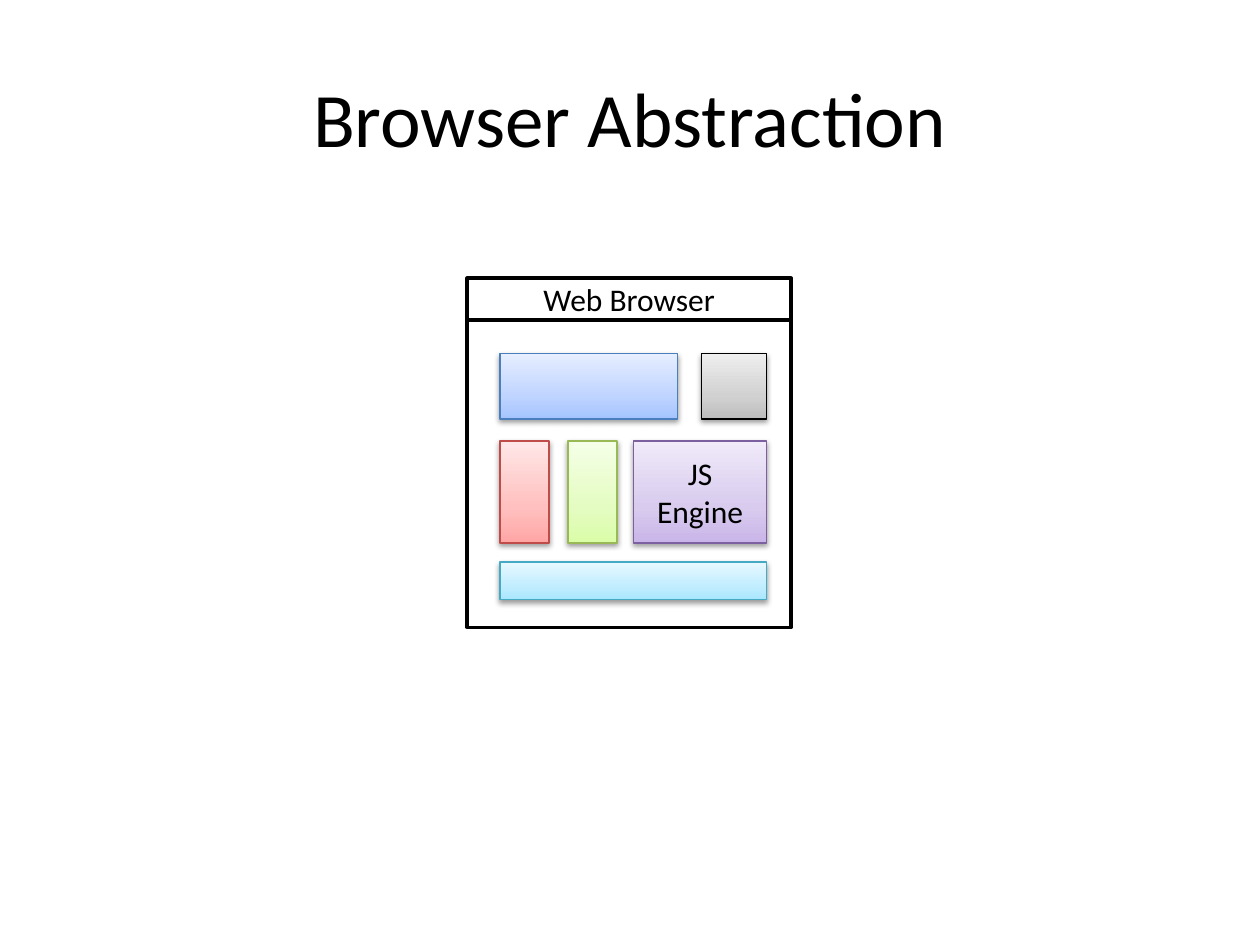
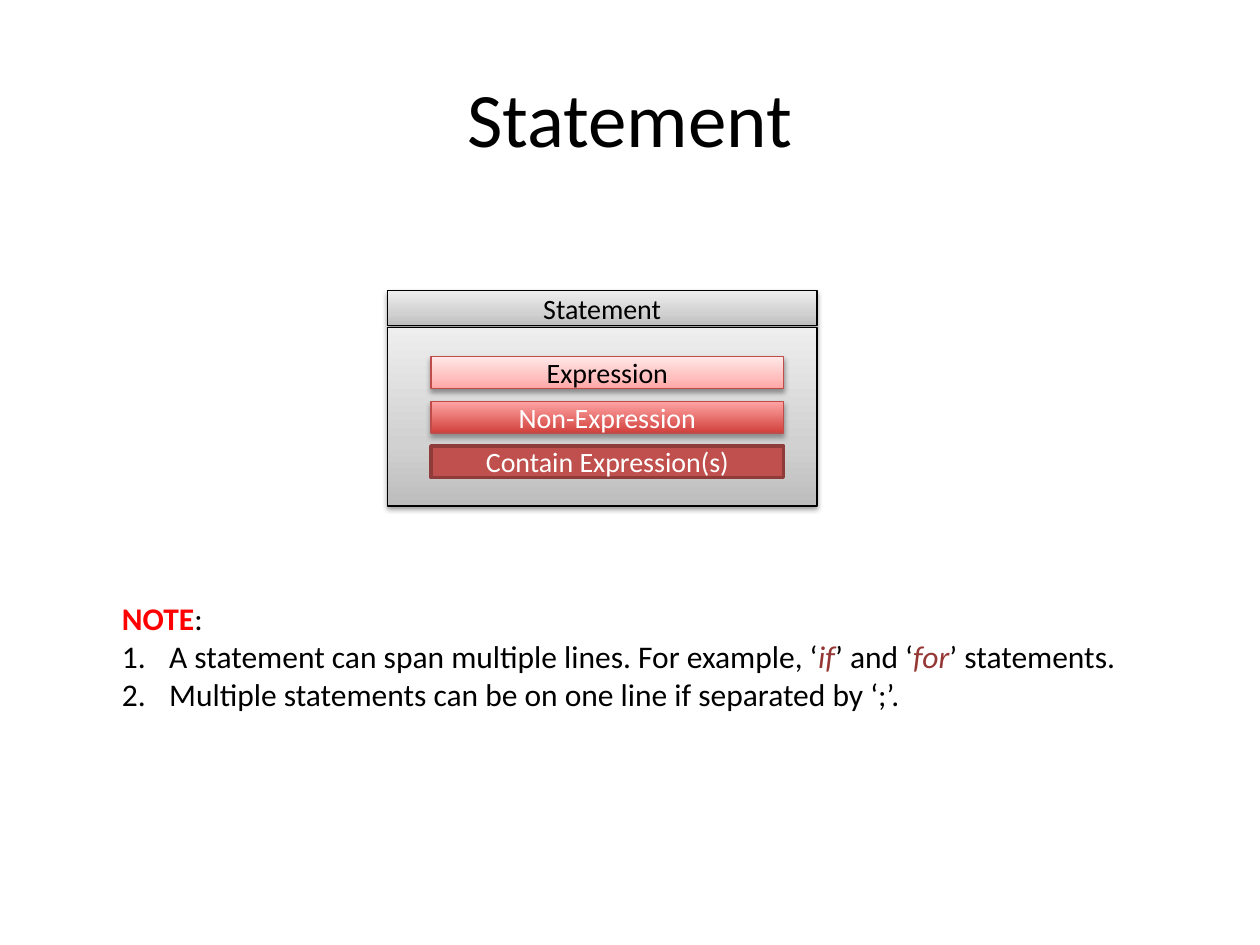
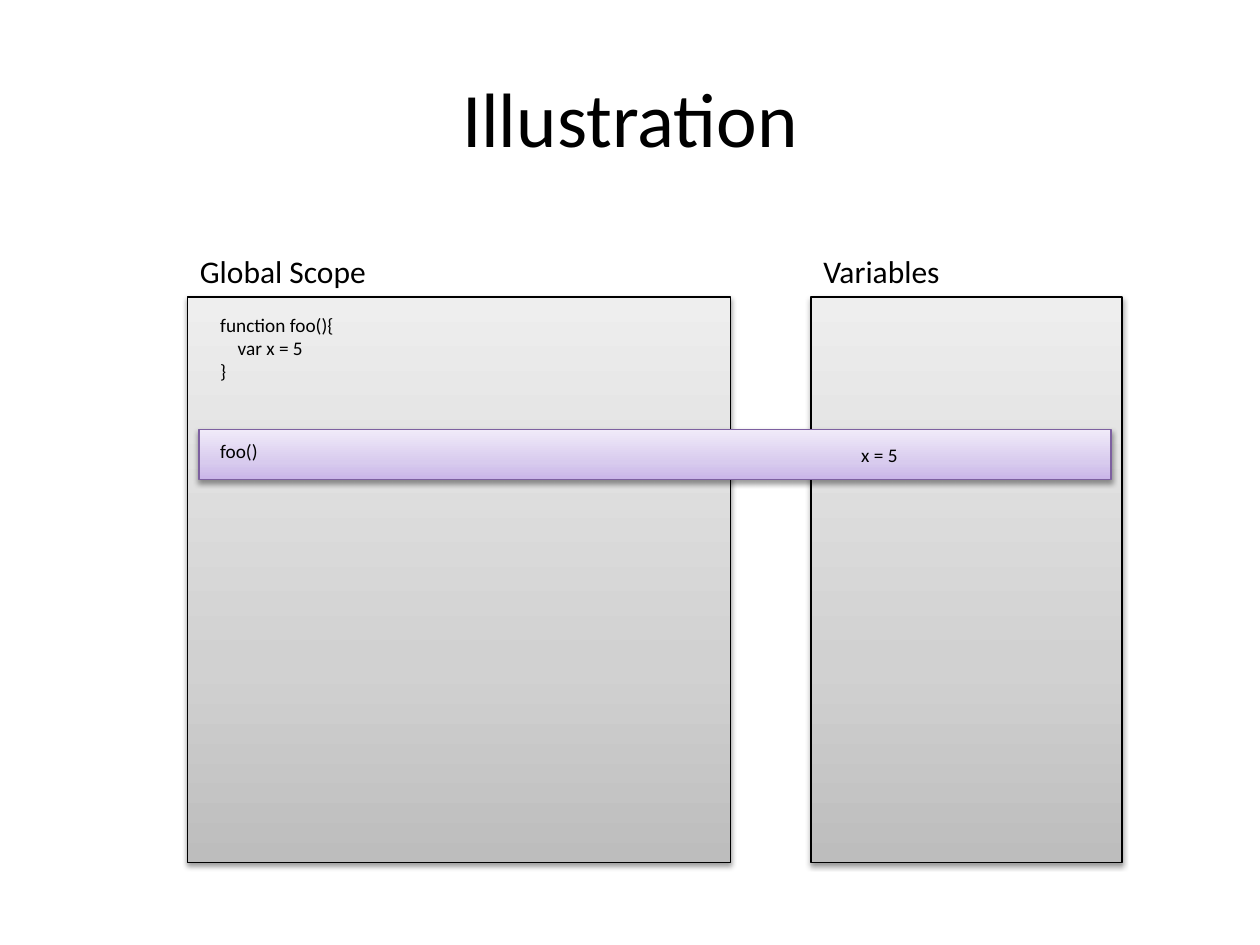
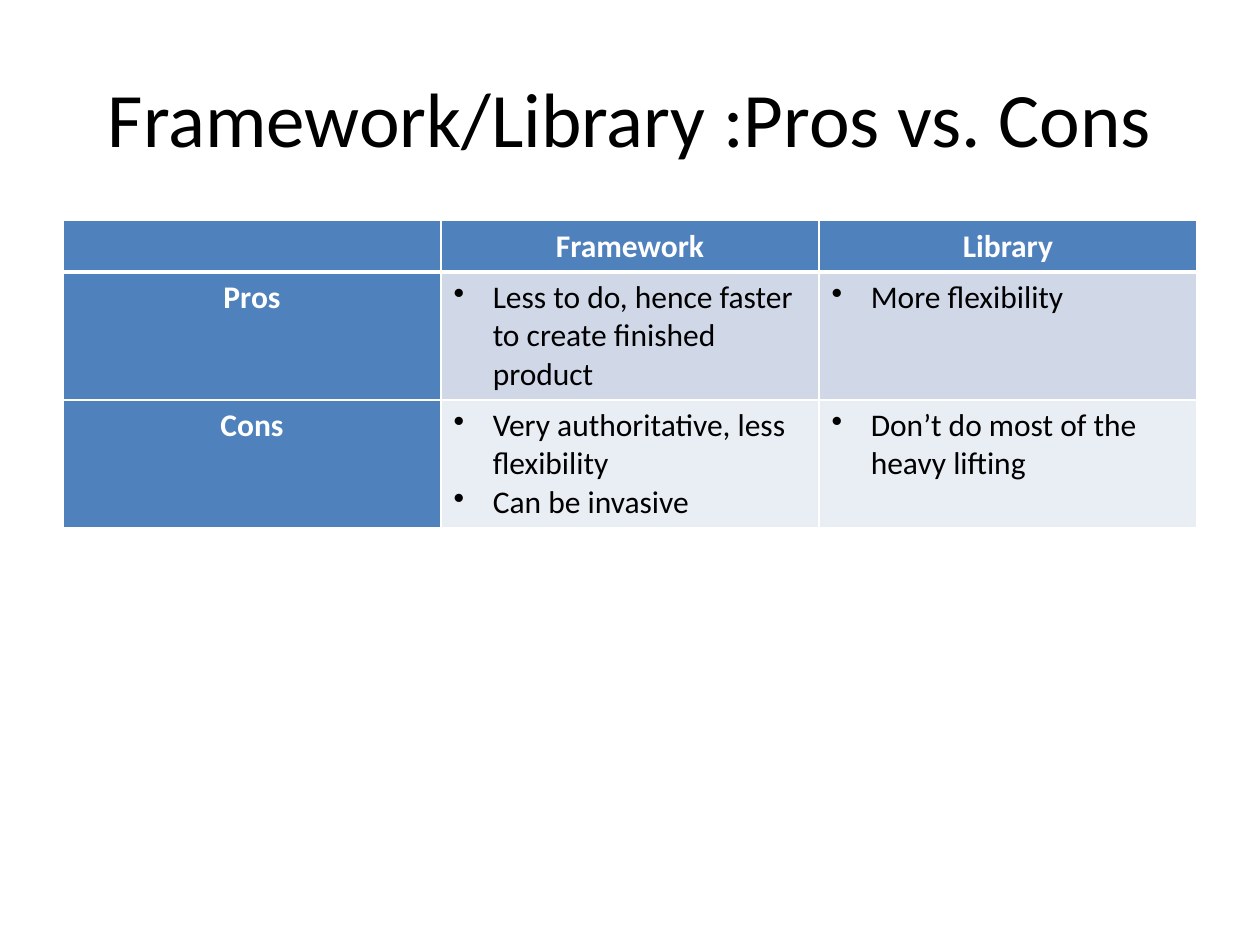
from dataclasses import dataclass
from typing import NamedTuple

from lxml.etree import SubElement
from pptx import Presentation
from pptx.dml.color import RGBColor as RGB
from pptx.enum.shapes import MSO_SHAPE as SHAPE
from pptx.enum.text import MSO_ANCHOR as ANCHOR, MSO_AUTO_SIZE as AUTO, PP_ALIGN as ALIGN
from pptx.oxml.ns import qn
from pptx.util import Cm, Pt


class Skin(NamedTuple):
    """Fill stops from bottom to top, outline and shadow of a rectangle."""
    stops: tuple
    line: str
    line_width: float = 0.75
    shadow: tuple = (38, 1.6)


class Run(NamedTuple):
    """A piece of text with its own look."""
    text: str
    color: str = "000000"
    bold: bool = False
    italic: bool = False


class Box(NamedTuple):
    """A region in centimetres."""
    x: float
    y: float
    w: float
    h: float

    def inner(self, dx, dy, w, h):
        """Return a box placed relative to this one."""
        return Box(self.x + dx, self.y + dy, w, h)

    def lengths(self):
        """Return the four lengths for python-pptx."""
        return [Cm(v) for v in self]


@dataclass(frozen=True)
class Theme:
    """Colours, type sizes and skins shared by the slides."""
    font: str = "Calibri"
    title_size: int = 44
    text_size: int = 18
    label_size: int = 16
    code_size: int = 11
    black: str = "000000"
    white: str = "FFFFFF"
    alert: str = "FF0000"
    keyword: str = "953735"
    header: str = "4F81BD"
    bands: tuple = ("D0D8E8", "E9EDF4")
    title_box: Box = Box(1.27, 0.76, 22.86, 3.18)
    frame: Skin = Skin(("FFFFFF",), "000000", 2, None)
    gray: Skin = Skin(((0, "BDBDBD"), (35, "D1D1D1"), (100, "EEEEEE")), "000000")
    blue: Skin = Skin(((0, "A4C4FF"), (35, "BFD4FF"), (100, "E6EEFF")), "4B7EBC")
    red: Skin = Skin(((0, "FFA6A5"), (35, "FFC0BF"), (100, "FFE7E7")), "BF4C48")
    green: Skin = Skin(((0, "DAFDA7"), (35, "E4FCC2"), (100, "F5FFE7")), "98B955")
    purple: Skin = Skin(((0, "C9B5E8"), (35, "D8CBEE"), (100, "F0EAF9")), "7D60A0")
    cyan: Skin = Skin(((0, "A7E6FF"), (35, "C1EDFF"), (100, "E7F8FF")), "46AAC5")
    strong_red: Skin = Skin(((0, "D1403C"), (100, "FFA6A5")), "BF4C48", 0.75, (35, 1.8))
    solid_red: Skin = Skin(("C0504D",), "8E3B39", 2, None)


T = Theme()


def rgb(color):
    """Turn a hex string into a colour."""
    return RGB.from_string(color)


def emu(points):
    """Return points as the text of an EMU value."""
    return str(int(Pt(points)))


def add_color(parent, color, alpha=None):
    """Add a colour element, with an opacity in percent if given."""
    el = SubElement(parent, qn("a:srgbClr"), val=color)
    if alpha:
        SubElement(el, qn("a:alpha"), val=str(alpha * 1000))


def add_runs(p, runs, size):
    """Add runs to a paragraph."""
    for run in runs:
        r = p.add_run()
        r.text = run.text
        f = r.font
        f.name, f.size, f.bold, f.italic = T.font, Pt(size), run.bold, run.italic
        f.color.rgb = rgb(run.color)


def fill_text(tf, paragraphs, size, align=ALIGN.LEFT):
    """Write paragraphs, each a list of runs, and return them."""
    for i, runs in enumerate(paragraphs):
        p = tf.add_paragraph() if i else tf.paragraphs[0]
        p.alignment = align
        add_runs(p, runs, size)
    return tf.paragraphs


def set_bullet(p, indent, tag, **attrs):
    """Give a paragraph a hanging bullet or number."""
    pPr = p._p.get_or_add_pPr()
    pPr.set("marL", str(Cm(indent)))
    pPr.set("indent", str(-Cm(indent)))
    SubElement(pPr, qn(tag), **attrs)


def paint(sp, skin):
    """Apply fill, outline and shadow to a shape."""
    spPr = sp._element.spPr
    if len(skin.stops) == 1:
        sp.fill.solid()
        sp.fill.fore_color.rgb = rgb(skin.stops[0])
    else:
        sp.fill.gradient()
        sp.fill.gradient_angle = 90
        stops = spPr.find(qn("a:gradFill")).find(qn("a:gsLst"))
        stops[:] = []
        for pos, color in skin.stops:
            add_color(SubElement(stops, qn("a:gs"), pos=str(pos * 1000)), color)
    sp.line.color.rgb = rgb(skin.line)
    sp.line.width = Pt(skin.line_width)
    sp.shadow.inherit = False
    if skin.shadow:
        alpha, distance = skin.shadow
        shadow = SubElement(spPr.find(qn("a:effectLst")), qn("a:outerShdw"), blurRad=emu(3.1),
                            dist=emu(distance), dir="5400000", rotWithShape="0")
        add_color(shadow, T.black, alpha)


def add_rect(shapes, box, skin, lines=(), size=T.text_size, color=T.black):
    """Add a rectangle with centred lines of text."""
    sp = shapes.add_shape(SHAPE.RECTANGLE, *box.lengths())
    paint(sp, skin)
    tf = sp.text_frame
    tf.vertical_anchor = ANCHOR.MIDDLE
    fill_text(tf, [[Run(line, color)] for line in lines], size, ALIGN.CENTER)


def add_text(shapes, box, paragraphs, size=T.text_size):
    """Add an unwrapped text box and return its paragraphs."""
    tf = shapes.add_textbox(*box.lengths()).text_frame
    tf.word_wrap = False
    tf.auto_size = AUTO.SHAPE_TO_FIT_TEXT
    return fill_text(tf, paragraphs, size)


def add_slide(prs, title):
    """Add a titled slide and return its shapes."""
    s = prs.slides.add_slide(prs.slide_layouts[5])
    sp = s.shapes.title
    sp.left, sp.top, sp.width, sp.height = T.title_box.lengths()
    sp.text_frame.vertical_anchor = ANCHOR.MIDDLE
    fill_text(sp.text_frame, [[Run(title)]], T.title_size, ALIGN.CENTER)
    return s.shapes


def draw_browser(shapes, box):
    """Draw the browser window and its component blocks."""
    group = shapes.add_group_shape().shapes
    bar = 0.84
    add_rect(group, box.inner(0, bar, box.w, box.h - bar), T.frame)
    blocks = [
        (0.66, 5.72, 5.38, 0.76, T.cyan, ()),
        (4.72, 1.52, 1.32, 1.32, T.gray, ()),
        (3.35, 3.28, 2.69, 2.06, T.purple, ("JS", "Engine")),
        (2.03, 3.28, 0.99, 2.06, T.green, ()),
        (0.66, 1.52, 3.58, 1.32, T.blue, ()),
        (0.66, 3.28, 0.99, 2.06, T.red, ()),
    ]
    for *place, skin, lines in blocks:
        add_rect(group, box.inner(*place), skin, lines)
    add_rect(group, box.inner(0, 0, box.w, bar), T.frame, ["Web Browser"])


def draw_statement(shapes, box):
    """Draw the statement panel with its three kinds."""
    add_rect(shapes, box.inner(0, 0, box.w, 0.71), T.gray, ["Statement"], T.label_size)
    add_rect(shapes, box.inner(0, 0.74, box.w, box.h - 0.74), T.gray)
    kinds = [
        ("Expression", T.red, T.black),
        ("Non-Expression", T.strong_red, T.white),
        ("Contain Expression(s)", T.solid_red, T.white),
    ]
    for i, (label, skin, color) in enumerate(kinds):
        add_rect(shapes, box.inner(0.88, 1.33 + 0.9 * i, 7.11, 0.64), skin,
                 [label], T.label_size, color)


def draw_note(shapes, box):
    """Write the numbered note."""
    paragraphs = add_text(shapes, box, [
        [Run("NOTE", T.alert, bold=True), Run(":")],
        [Run("A statement can span multiple lines. For example, ‘"),
         Run("if", T.keyword, italic=True), Run("’ and ‘"),
         Run("for", T.keyword, italic=True), Run("’ statements.")],
        [Run("Multiple statements can be on one line if separated by ‘;’.")],
    ])
    for p in paragraphs[1:]:
        set_bullet(p, 0.95, "a:buAutoNum", type="arabicPeriod")


def draw_panel(shapes, box, label, label_width):
    """Draw a gray panel with its label above."""
    add_rect(shapes, box, T.gray)
    add_text(shapes, box.inner(0, -1.03, label_width, 1.03), [[Run(label)]])


def draw_scopes(shapes, box):
    """Draw the code and variable panels with the call across both."""
    draw_panel(shapes, box.inner(0, 0, 10.95, box.h), "Global Scope", 3.89)
    draw_panel(shapes, box.inner(12.57, 0, 6.27, box.h), "Variables", 2.92)
    code = ["function foo(){", "    var x = 5", "}"]
    add_text(shapes, box.inner(0.41, 0.2, 2.82, 1.68),
             [[Run(line)] for line in code], T.code_size)
    add_rect(shapes, box.inner(0.23, 2.67, 18.39, 1.01), T.purple)
    for dx, dy, text in [(0.41, 2.75, "foo()"), (13.33, 2.82, "x = 5")]:
        add_text(shapes, box.inner(dx, dy, 1.3, 0.73), [[Run(text)]], T.code_size)


def style_cell(cell, color, top, bottom):
    """Set the fill and the white borders of a cell."""
    tcPr = cell._tc.get_or_add_tcPr()
    for side, width in zip("LRTB", (1, 1, top, bottom)):
        ln = SubElement(tcPr, qn(f"a:ln{side}"), w=emu(width))
        add_color(SubElement(ln, qn("a:solidFill")), T.white)
    cell.fill.solid()
    cell.fill.fore_color.rgb = rgb(color)


def draw_comparison(shapes, box):
    """Draw the table of pros and cons."""
    rows = [
        ([], ["Framework"], ["Library"]),
        (["Pros"], ["Less to do, hence faster to create finished product"], ["More flexibility"]),
        (["Cons"], ["Very authoritative, less flexibility", "Can be invasive"],
         ["Don’t do most of the heavy lifting"]),
    ]
    heights = (1.03, 2.54, 2.54)
    table = shapes.add_table(len(rows), len(rows[0]), *box.lengths()).table
    for i, (row, height) in enumerate(zip(rows, heights)):
        table.rows[i].height = Cm(height)
        for j, lines in enumerate(row):
            cell = table.cell(i, j)
            is_header = i == 0 or j == 0
            style_cell(cell, T.header if is_header else T.bands[i - 1],
                       3 if i == 1 else 1, 3 if i == 0 else 1)
            color = T.white if is_header else T.black
            paragraphs = fill_text(cell.text_frame, [[Run(t, color, is_header)] for t in lines],
                                   T.text_size, ALIGN.CENTER if is_header else ALIGN.LEFT)
            if not is_header:
                for p in paragraphs:
                    set_bullet(p, 0.79, "a:buChar", char="•")


def main():
    """Build the four slides and save them."""
    prs = Presentation()
    prs.slide_width, prs.slide_height = Cm(25.4), Cm(19.05)
    draw_browser(add_slide(prs, "Browser Abstraction"), Box(9.42, 5.61, 6.53, 7.04))
    statement = add_slide(prs, "Statement")
    draw_statement(statement, Box(7.81, 5.86, 8.66, 4.34))
    draw_note(statement, Box(2.21, 11.96, 20.78, 2.57))
    draw_scopes(add_slide(prs, "Illustration"), Box(3.78, 5.99, 18.84, 11.4))
    draw_comparison(add_slide(prs, "Framework/Library :Pros vs. Cons"),
                    Box(1.27, 4.45, 22.86, 6.11))
    prs.save("out.pptx")


if __name__ == "__main__":
    main()
